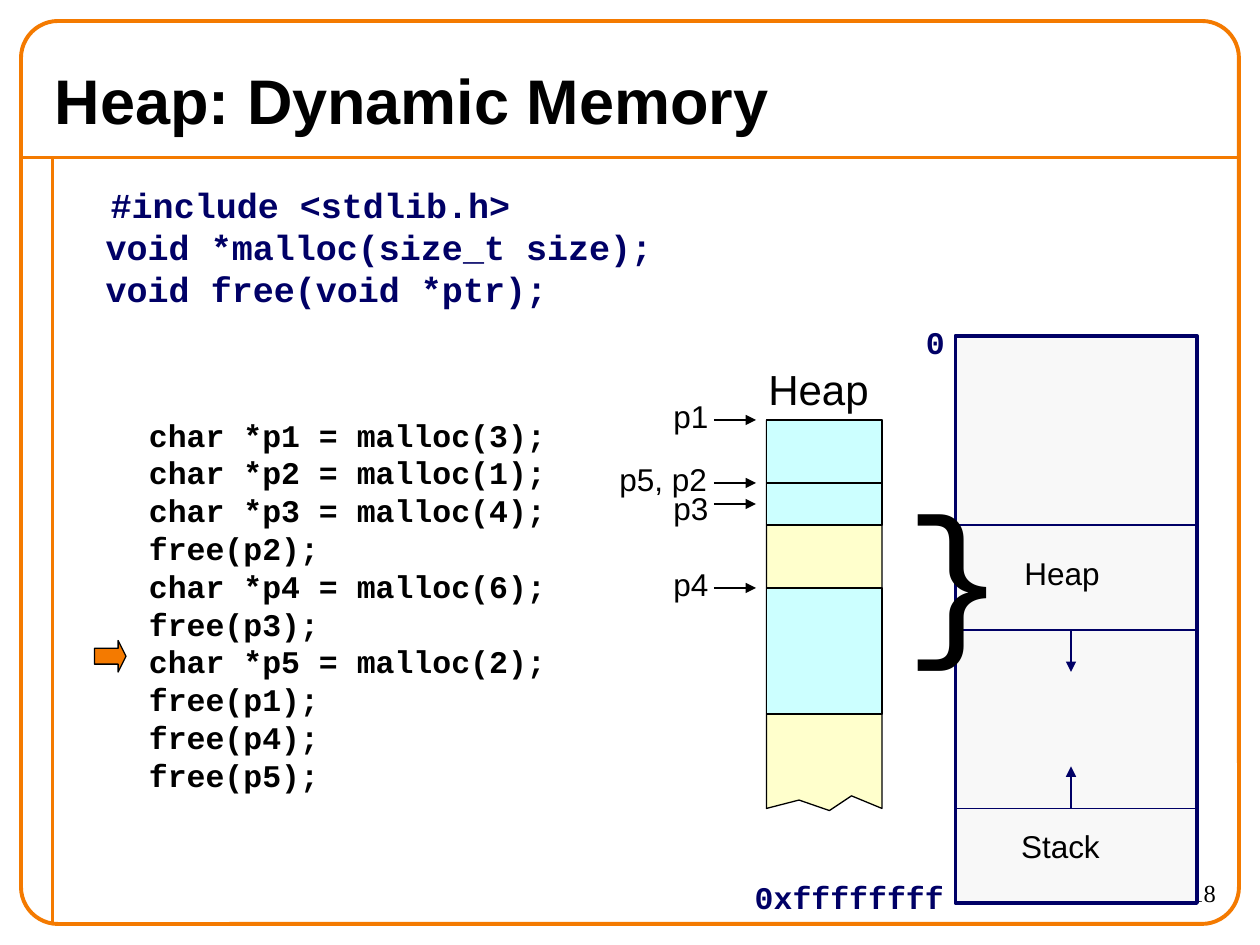
from dataclasses import dataclass

from lxml import etree
from pptx import Presentation
from pptx import util as u
from pptx.dml.color import RGBColor
from pptx.enum import shapes, text
from pptx.oxml.ns import qn

ORANGE = RGBColor(0xF4, 0x7A, 0x00)
NAVY = RGBColor(0x00, 0x00, 0x66)
BLACK = RGBColor(0x00, 0x00, 0x00)
USED = RGBColor(0xCC, 0xFF, 0xFF)
FREE = RGBColor(0xFF, 0xFF, 0xCC)
GREY = RGBColor(0xF8, 0xF8, 0xF8)
SANS, MONO, SERIF = "Arial", "Courier New", "Times New Roman"
LEFT, CENTER, RIGHT = text.PP_ALIGN.LEFT, text.PP_ALIGN.CENTER, text.PP_ALIGN.RIGHT
RECT = shapes.MSO_SHAPE.RECTANGLE

# The grid has 120 columns and 90 rows, so one step is a twelfth of an inch
COLS, ROWS = 120, 90
STEP = u.Inches(10) // COLS
HEAP_X, HEAP_Y, HEAP_W = 73, 40, 11
MEM_X, MEM_Y, MEM_W, MEM_H = 91, 32, 23, 54


@dataclass
class Box:
    x: float
    y: float
    w: float
    h: float

    def emu(self) -> list[int]:
        return [grid(v) for v in (self.x, self.y, self.w, self.h)]


@dataclass
class Block:
    row: float
    rows: float


@dataclass
class Pointer:
    name: str
    row: float
    label: Box


@dataclass
class Label:
    words: str
    box: Box
    size: float = 18
    font: str = SANS
    color: RGBColor = BLACK
    bold: bool = False
    align: text.PP_ALIGN = CENTER
    wrap: bool = False


def grid(steps: float) -> int:
    return round(steps * STEP)


def write(tf, words: str, *, size=18, font=SANS, color=BLACK, bold=False,
          align=LEFT, wrap=False):
    tf.word_wrap = wrap
    tf.auto_size = text.MSO_AUTO_SIZE.NONE
    tf.text = words
    for p in tf.paragraphs:
        p.alignment = align
        for r in p.runs:
            f = r.font
            f.size, f.name, f.bold = u.Pt(size), font, bold
            f.color.rgb = color


def add_label(s, item: Label):
    sp = s.shapes.add_textbox(*item.box.emu())
    write(sp.text_frame, item.words, size=item.size, font=item.font,
          color=item.color, bold=item.bold, align=item.align, wrap=item.wrap)
    return sp


def paint(sp, fill: RGBColor | None, color: RGBColor, width: float):
    sp.shadow.inherit = False
    if fill is None:
        sp.fill.background()
    else:
        sp.fill.solid()
        sp.fill.fore_color.rgb = fill
    sp.line.color.rgb = color
    sp.line.width = u.Pt(width)


def add_box(s, box: Box, fill: RGBColor | None, *, kind=RECT, color=BLACK,
            width=0.75, adjust=()):
    sp = s.shapes.add_shape(kind, *box.emu())
    for i, value in enumerate(adjust):
        sp.adjustments[i] = value
    paint(sp, fill, color, width)
    return sp


def add_line(s, x1: float, y1: float, x2: float, y2: float, *, color=BLACK,
             width=0.75, arrow=False):
    sp = s.shapes.add_connector(shapes.MSO_CONNECTOR.STRAIGHT,
                                *[grid(v) for v in (x1, y1, x2, y2)])
    sp.line.color.rgb = color
    sp.line.width = u.Pt(width)
    if arrow:
        etree.SubElement(sp.line._get_or_add_ln(), qn("a:tailEnd"), type="triangle")
    etree.SubElement(sp._element.spPr, qn("a:effectLst"))


def add_frame(s):
    add_line(s, 2, 15, COLS - 4 + 2, 15, color=ORANGE, width=2.25)
    add_line(s, 5, 15, 5, ROWS - 2, color=ORANGE, width=2.25)
    add_box(s, Box(2, 2, COLS - 4, ROWS - 4), None, color=ORANGE, width=2.25,
            kind=shapes.MSO_SHAPE.ROUNDED_RECTANGLE, adjust=[0.041])


def add_prototypes(s):
    sp = add_label(s, Label(
        "#include <stdlib.h>\vvoid *malloc(size_t size);\vvoid free(void *ptr);",
        Box(6, 16, 111, 72), 20, MONO, NAVY, True, LEFT, True))
    sp.text_frame.margin_top = u.Inches(0.12)
    p = sp.text_frame.paragraphs[0]
    p.space_before = u.Pt(12)
    pPr = p._p.get_or_add_pPr()
    pPr.set("marL", str(u.Inches(0.24)))
    pPr.set("indent", str(u.Inches(0.04)))


def add_free_heap(s):
    right, edge = HEAP_X + HEAP_W, 77
    torn = [(76.1, 76.2), (79, 77.2), (81.1, 75.8)]
    points = torn + [(right, edge), (right, HEAP_Y), (HEAP_X, HEAP_Y)]
    builder = s.shapes.build_freeform(grid(HEAP_X), grid(edge), scale=1.0)
    builder.add_line_segments([(grid(x), grid(y)) for x, y in points], close=True)
    paint(builder.convert_to_shape(), FREE, BLACK, 0.75)


def add_memory(s):
    add_box(s, Box(MEM_X, MEM_Y, MEM_W, MEM_H), GREY, color=NAVY, width=2.25)
    for row in (77, 60, 50):
        add_line(s, MEM_X, row, MEM_X + MEM_W, row, color=NAVY)
    for start, end in ((60, 64), (77, 73)):
        add_line(s, 102, start, 102, end, color=NAVY, arrow=True)


CODE = """char *p1 = malloc(3);
char *p2 = malloc(1);
char *p3 = malloc(4);
free(p2);
char *p4 = malloc(6);
free(p3);
char *p5 = malloc(2);
free(p1);
free(p4);
free(p5);"""

LABELS = [
    Label("0", Box(87, 30.2, 4.2, 4.8), font=MONO, color=NAVY, bold=True, align=LEFT),
    Label("0xffffffff", Box(70.7, 83, 20.4, 4.8), font=MONO, color=NAVY, bold=True,
          align=LEFT),
    Label("Stack", Box(96.1, 78.2, 9.8, 4.8)),
    Label("}", Box(85, 44, 4.8, 20.4), 96, MONO, wrap=True),
    Label("Heap", Box(72, 34, 11.9, 6), 24),
    Label("Heap", Box(96.4, 52.2, 9.5, 4.8)),
    Label(CODE, Box(13, 39, 41, 37.2), font=MONO, bold=True, align=LEFT, wrap=True),
]

# Two rows stand for one byte
BLOCKS = [Block(40, 6), Block(56, 12), Block(46, 4)]

POINTERS = [
    Pointer("p1", 40, Box(63, 37.2, 5.6, 4.8)),
    Pointer("p5, p2", 46, Box(57.8, 43.2, 10.7, 4.8)),
    Pointer("p3", 48, Box(63, 46, 5.6, 4.8)),
    Pointer("p4", 56, Box(63, 53.2, 5.6, 4.8)),
]


def main():
    prs = Presentation()
    prs.slide_width, prs.slide_height = grid(COLS), grid(ROWS)
    s = prs.slides.add_slide(prs.slide_layouts[5])

    # Frame and title
    add_frame(s)
    title = s.shapes.title
    title.left, title.top, title.width, title.height = Box(4, 5, 112, 9).emu()
    write(title.text_frame, "Heap: Dynamic Memory", size=36, bold=True, wrap=True)
    title.text_frame.vertical_anchor = text.MSO_ANCHOR.MIDDLE

    # Prototypes and page number
    add_prototypes(s)
    add_label(s, Label("18", Box(105, 83, 12, 5), 14, SERIF, align=RIGHT, wrap=True))

    # Heap column, address space and their labels
    add_free_heap(s)
    add_memory(s)
    for item in LABELS:
        add_label(s, item)

    # Allocated blocks and the pointers to them
    for block in BLOCKS:
        add_box(s, Box(HEAP_X, block.row, HEAP_W, block.rows), USED)
    for ptr in POINTERS:
        add_label(s, Label(ptr.name, ptr.label))
        add_line(s, 68, ptr.row, 72, ptr.row, arrow=True)

    # Marker of the current statement
    add_box(s, Box(9, 61, 3, 3), ORANGE, kind=shapes.MSO_SHAPE.RIGHT_ARROW,
            adjust=[0.5, 0.25])
    prs.save("out.pptx")


if __name__ == "__main__":
    main()
